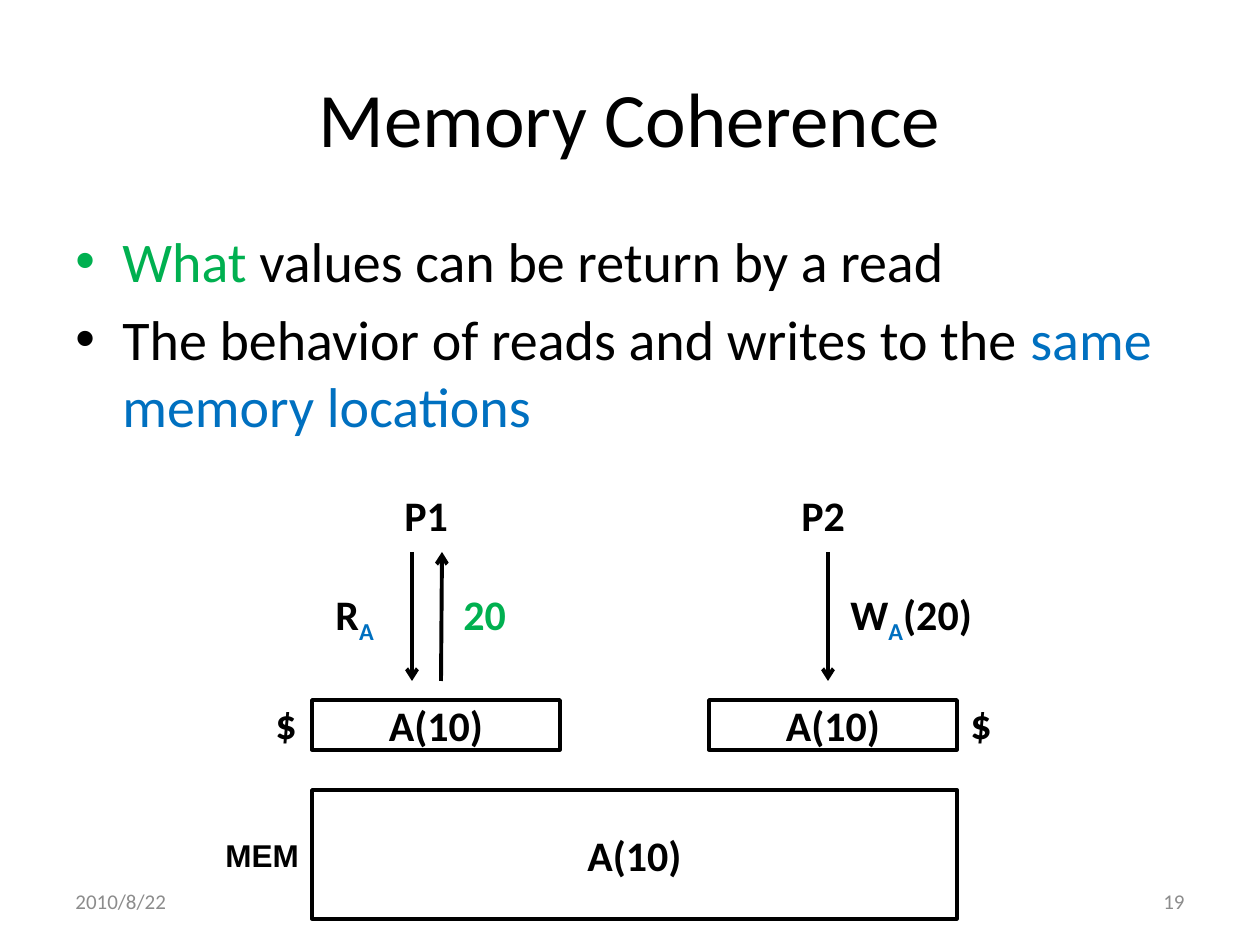
from lxml import etree
from pptx import Presentation
from pptx import util as u
from pptx.dml.color import RGBColor
from pptx.enum import shapes, text
from pptx.oxml.ns import qn

SCALE = 914400 / 126
COLORS = {"ink": "000000", "green": "00B050", "blue": "0070C0", "grey": "8C8C8C"}
LEFT, CENTER, RIGHT = text.PP_ALIGN.LEFT, text.PP_ALIGN.CENTER, text.PP_ALIGN.RIGHT
TOP, MIDDLE = text.MSO_ANCHOR.TOP, text.MSO_ANCHOR.MIDDLE


def px(length):
    """Turn pixels into EMU."""
    return u.Emu(round(length * SCALE))


def color(name):
    """Look up a colour by name."""
    return RGBColor.from_string(COLORS[name])


def assign(target, values):
    """Set attributes from a dict of format values."""
    for name, value in values.items():
        setattr(target, name, value)


class Sketch:
    """Holds the style and the current slide."""

    font = "Calibri"
    label = {"size": u.Pt(24), "bold": True}

    def __init__(self, slide):
        self.slide = slide

    def add_runs(self, paragraph, runs, font, align=LEFT):
        """Fill a paragraph with (words, colour, baseline) runs."""
        paragraph.alignment = align
        for words, tint, *baseline in runs:
            run = paragraph.add_run()
            run.text = words
            assign(run.font, {"name": self.font, **font})
            run.font.color.rgb = color(tint)
            if baseline:
                run.font._element.set("baseline", str(baseline[0]))

    def text(self, box, runs, font=None, align=LEFT, anchor=TOP, wrap=True):
        """Add a text box with one paragraph and return its frame."""
        frame = self.slide.shapes.add_textbox(*map(px, box)).text_frame
        assign(frame, {"word_wrap": wrap, "vertical_anchor": anchor})
        self.add_runs(frame.paragraphs[0], runs, font or self.label, align)
        return frame

    def tag(self, box, runs, font=None):
        """Add a diagram label that fits its words."""
        frame = self.text(box, runs, font, wrap=False)
        frame.auto_size = text.MSO_AUTO_SIZE.SHAPE_TO_FIT_TEXT

    def bullets(self, box, items, size):
        """Add a bulleted list."""
        frame = self.slide.shapes.add_textbox(*map(px, box)).text_frame
        frame.word_wrap = True
        for index, runs in enumerate(items):
            item = frame.add_paragraph() if index else frame.paragraphs[0]
            item.space_before = u.Pt(size * 0.2)
            self.add_runs(item, runs, {"size": u.Pt(size)})
            props = item._p.get_or_add_pPr()
            props.set("marL", str(px(47)))
            props.set("indent", str(-px(47)))
            etree.SubElement(props, qn("a:buFont")).set("typeface", "Arial")
            etree.SubElement(props, qn("a:buChar")).set("char", "•")

    def store(self, box, words):
        """Add an outlined memory block."""
        block = self.slide.shapes.add_shape(shapes.MSO_SHAPE.RECTANGLE, *map(px, box))
        block.shadow.inherit = False
        block.fill.background()
        block.line.color.rgb = color("ink")
        block.line.width = u.Pt(2)
        block.text_frame.vertical_anchor = MIDDLE
        self.add_runs(block.text_frame.paragraphs[0], [(words, "ink")], self.label, CENTER)

    def arrow(self, *ends):
        """Add an arrow from the first point to the second."""
        line = self.slide.shapes.add_connector(
            shapes.MSO_CONNECTOR.STRAIGHT, *map(px, ends))
        line.line.color.rgb = color("ink")
        line.line.width = u.Pt(2.25)
        outline = line._element.spPr.find(qn("a:ln"))
        etree.SubElement(outline, qn("a:tailEnd")).set("type", "arrow")
        etree.SubElement(line._element.spPr, qn("a:effectLst"))


deck = Presentation()
assign(deck, {"slide_width": px(1260), "slide_height": px(945)})
sketch = Sketch(deck.slides.add_slide(deck.slide_layouts[6]))

sketch.text((63, 38, 1134, 157), [("Memory Coherence", "ink")],
            {"size": u.Pt(44)}, CENTER, MIDDLE)
sketch.bullets((63, 220, 1134, 624), [
    [("What ", "green"), ("values can be return by a read", "ink")],
    [("The behavior of reads and writes to the ", "ink"),
     ("same memory locations", "blue")],
], 32)

# Processors, their requests and the values that come back
for box, runs in [
    ((392, 483, 69, 64), [("P1", "ink")]),
    ((789, 483, 77, 64), [("P2", "ink")]),
    ((323, 582, 67, 64), [("R", "ink"), ("A", "blue", -25000)]),
    ((451, 582, 68, 64), [("20", "green")]),
    ((838, 582, 149, 64), [("W", "ink"), ("A", "blue", -25000), ("(20)", "ink")]),
    ((263, 691, 47, 64), [("$", "ink")]),
    ((958, 691, 47, 64), [("$", "ink")]),
]:
    sketch.tag(box, runs)

request_top, request_bottom = 552, 681
for x in (412, 828):
    sketch.arrow(x, request_top, x, request_bottom)
sketch.arrow(441, request_bottom, 442, request_top)

# Caches above the shared memory
for cache_left in (312, 709):
    sketch.store((cache_left, 700, 248, 50), "A(10)")
sketch.store((312, 790, 645, 129), "A(10)")
sketch.tag((213, 830, 99, 50), [("MEM", "ink")],
           {"name": "Arial", "size": u.Pt(18), "bold": True})

for left, words, align in [(903, "19", RIGHT), (63, "2010/8/22", LEFT)]:
    sketch.text((left, 876, 294, 50), [(words, "grey")],
                {"size": u.Pt(12)}, align, MIDDLE)

deck.save("out.pptx")
